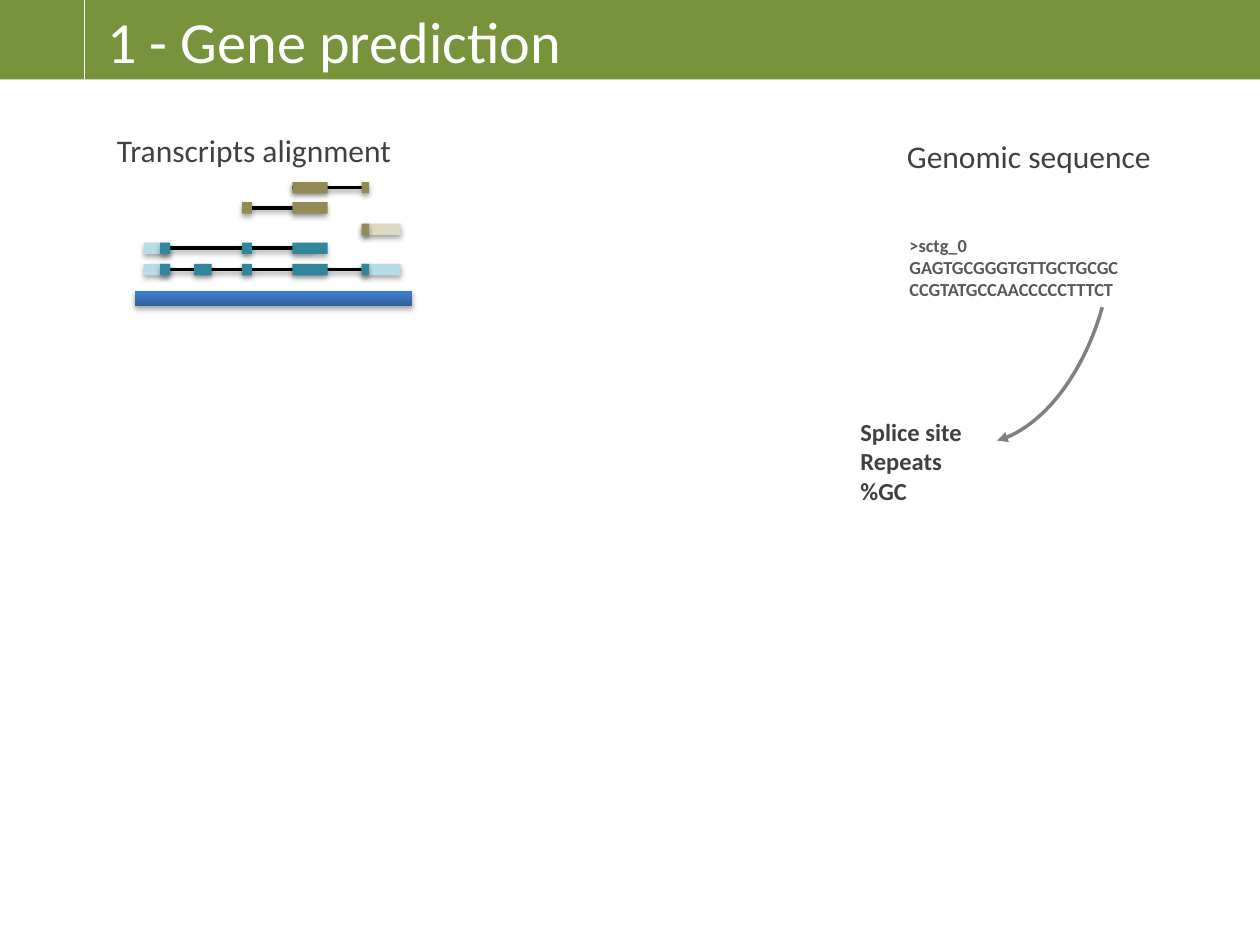
from copy import deepcopy

from lxml import etree
from pptx import Presentation
from pptx.dml.color import RGBColor
from pptx.enum import shapes, text
from pptx.oxml import ns
from pptx.util import Inches, Pt

FONT = "Calibri"
GREEN = RGBColor(0x77, 0x93, 0x3C)
WHITE = RGBColor(0xFF, 0xFF, 0xFF)
BLACK = RGBColor(0x00, 0x00, 0x00)
DARK = RGBColor(0x40, 0x40, 0x40)
MID = RGBColor(0x59, 0x59, 0x59)
GREY = RGBColor(0x80, 0x80, 0x80)
OLIVE = RGBColor(0x94, 0x8A, 0x54)
SAND = RGBColor(0xDD, 0xD9, 0xC3)
TEAL = RGBColor(0x31, 0x85, 0x9C)
PALE = RGBColor(0xB7, 0xDE, 0xE8)
GENOME = [(0, RGBColor(0x2F, 0x5F, 0x99)), (0.8, RGBColor(0x3D, 0x7C, 0xC7)),
          (1, RGBColor(0x3A, 0x7C, 0xCB))]

# Exon extents (left, width) shared by the tracks
UTR5, START = (1.14, 0.21), (1.27, 0.08)
EXON1, EXON2, EXON3 = (1.54, 0.14), (1.92, 0.08), (2.32, 0.28)
UTR3, STOP = (2.87, 0.31), (2.87, 0.06)
EXON_H = 0.09

# Each track: centre y, intron (from, to), exons (extent, colour)
TRACKS = [
    (1.49, (2.32, 2.87), [(EXON3, OLIVE), (STOP, OLIVE)]),
    (1.65, (2.0, 2.56), [(EXON3, OLIVE), (EXON2, OLIVE)]),
    (1.82, None, [(UTR3, SAND), (STOP, OLIVE)]),
    (2.14, (1.35, 2.87), [(EXON3, TEAL), (UTR5, PALE), (START, TEAL), (UTR3, PALE),
                          (STOP, TEAL), (EXON2, TEAL), (EXON1, TEAL)]),
    (1.97, (1.35, 2.49), [(EXON3, TEAL), (UTR5, PALE), (START, TEAL), (EXON2, TEAL)]),
]


class Builder:
    def __init__(self, slide):
        self.s = slide

    def effects(self, sp, dist=None, alpha=None):
        """Set a downward shadow, or none when no distance is given."""
        lst = etree.SubElement(sp._element.spPr, ns.qn("a:effectLst"))
        if dist:
            shadow = etree.SubElement(lst, ns.qn("a:outerShdw"), blurRad=str(Pt(3.1)),
                                      dist=str(Pt(dist)), dir="5400000", rotWithShape="0")
            clr = etree.SubElement(shadow, ns.qn("a:srgbClr"), val=str(BLACK))
            etree.SubElement(clr, ns.qn("a:alpha"), val=str(alpha * 1000))

    def rect(self, x, y, w, h, color, parent=None, shadow=()):
        sp = (parent or self.s).shapes.add_shape(
            shapes.MSO_SHAPE.RECTANGLE, Inches(x), Inches(y), Inches(w), Inches(h))
        if isinstance(color, list):
            self.gradient(sp, color)
        else:
            sp.fill.solid()
            sp.fill.fore_color.rgb = color
        sp.line.fill.background()
        self.effects(sp, *shadow)

    def gradient(self, sp, stops):
        sp.fill.gradient()
        sp.fill.gradient_angle = 90
        lst = sp._element.spPr.find(".//" + ns.qn("a:gsLst"))
        lst.insert(1, deepcopy(lst[0]))
        for stop, (position, color) in zip(sp.fill.gradient_stops, stops):
            stop.position = position
            stop.color.rgb = color

    def line(self, x1, y1, x2, y2, color, width, parent=None, shadow=()):
        c = (parent or self.s).shapes.add_connector(
            shapes.MSO_CONNECTOR.STRAIGHT, Inches(x1), Inches(y1), Inches(x2), Inches(y2))
        c.line.color.rgb = color
        c.line.width = Pt(width)
        self.effects(c, *shadow)

    def arc_arrow(self, x, y, w, h, rotation, start, end):
        sp = self.s.shapes.add_shape(
            shapes.MSO_SHAPE.ARC, Inches(x), Inches(y), Inches(w), Inches(h))
        sp.rotation = rotation
        sp.adjustments[0], sp.adjustments[1] = start, end
        sp.fill.background()
        sp.line.color.rgb = GREY
        sp.line.width = Pt(2)
        ln = sp._element.spPr.find(ns.qn("a:ln"))
        etree.SubElement(ln, ns.qn("a:tailEnd"), type="triangle")
        self.effects(sp)

    def set_text(self, tf, lines, size, color, bold=False):
        tf.text = "\n".join(lines)
        for p in tf.paragraphs:
            p.alignment = text.PP_ALIGN.LEFT
            p.font.name, p.font.size, p.font.bold = FONT, Pt(size), bold
            p.font.color.rgb = color

    def label(self, x, y, w, h, lines, size, color, bold=False, wrap=False):
        tf = self.s.shapes.add_textbox(Inches(x), Inches(y), Inches(w), Inches(h)).text_frame
        tf.word_wrap = wrap
        tf.auto_size = text.MSO_AUTO_SIZE.SHAPE_TO_FIT_TEXT
        self.set_text(tf, lines, size, color, bold)

    def title(self, x, y, w, h, words):
        sp = self.s.shapes.title
        sp.left, sp.top, sp.width, sp.height = Inches(x), Inches(y), Inches(w), Inches(h)
        tf = sp.text_frame
        tf.auto_size = text.MSO_AUTO_SIZE.NONE
        tf.vertical_anchor = text.MSO_ANCHOR.MIDDLE
        tf.margin_top = tf.margin_bottom = 0
        self.set_text(tf, [words], 33.3, WHITE)
        sp._element.getparent().append(sp._element)  # bring in front of the bar


def main():
    prs = Presentation()
    prs.slide_width, prs.slide_height = Inches(10), Inches(7.5)
    b = Builder(prs.slides.add_slide(prs.slide_layouts[5]))

    # Header
    b.rect(0, 0, 10, 0.63, GREEN)
    b.title(0.75, 0.05, 9.21, 0.54, "1 - Gene prediction")
    b.line(0.67, 0, 0.67, 0.63, WHITE, 0.75)

    # Transcripts aligned on the genome
    b.label(0.83, 0.99, 2.38, 0.4, ["Transcripts alignment"], 18, DARK)
    group = b.s.shapes.add_group_shape()
    b.rect(1.07, 2.31, 2.2, 0.12, GENOME, group, (1.8, 35))
    for y, intron, exons in TRACKS:
        if intron:
            b.line(intron[0], y, intron[1], y, BLACK, 2, group, (1.6, 38))
        for (x, w), color in exons:
            b.rect(x, y - EXON_H / 2, w, EXON_H, color, group, (1.8, 35))

    # Genomic sequence and its features
    b.label(7.1, 1.04, 2.16, 0.4, ["Genomic sequence"], 18, DARK)
    b.label(7.12, 1.81, 2.34, 0.63,
            [">sctg_0", "GAGTGCGGGTGTTGCTGCGC", "CCGTATGCCAACCCCCTTTCT"],
            10.5, MID, bold=True, wrap=True)
    b.arc_arrow(6.55, 1.29, 2.82, 1.68, 102.7, 167.2, 209.56)
    b.label(6.73, 3.26, 1.01, 0.81, ["Splice site", "Repeats", "%GC"], 14, DARK, bold=True)

    prs.save("out.pptx")


if __name__ == "__main__":
    main()
